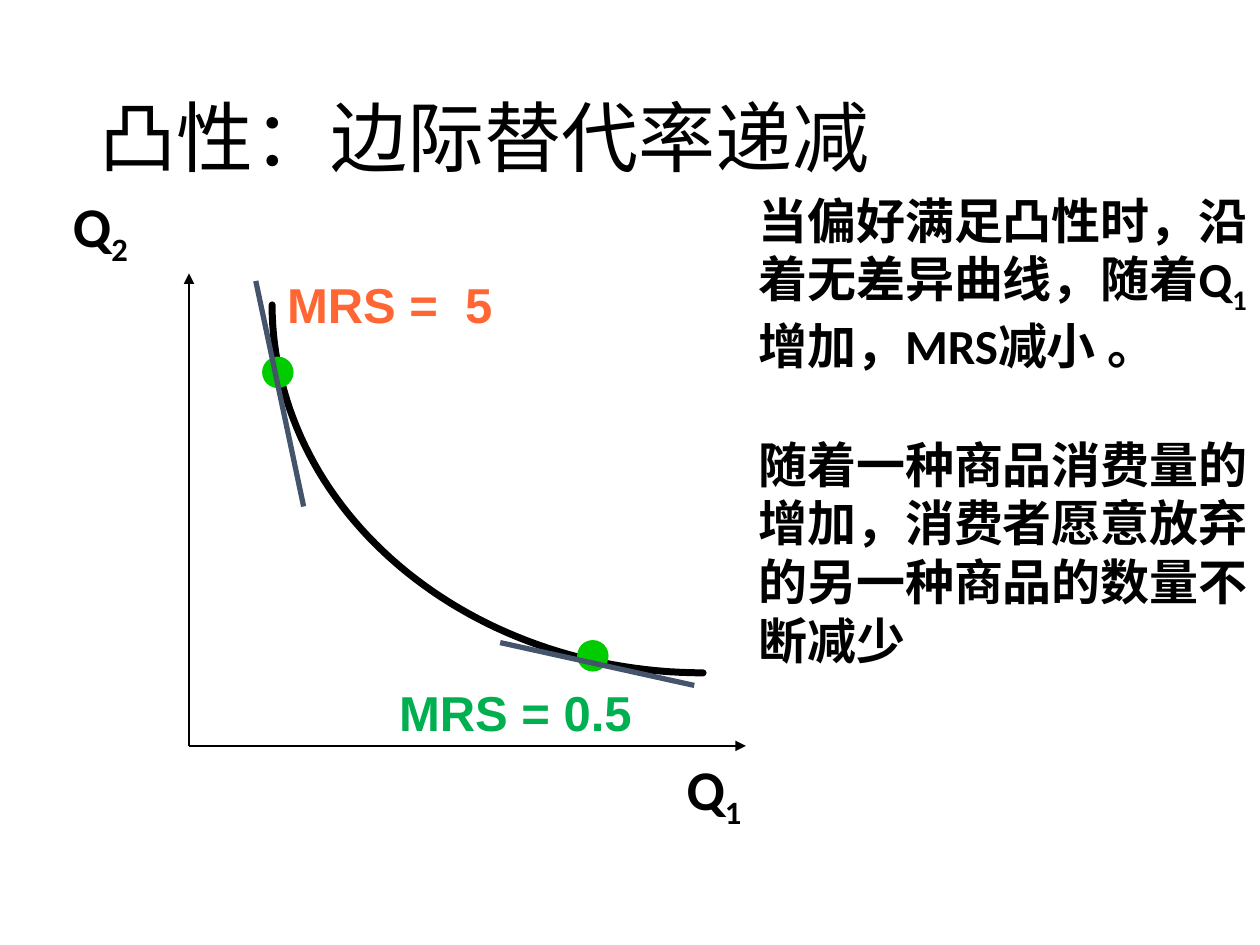
from dataclasses import dataclass
from math import cos, pi, sin

from lxml import etree
from pptx import Presentation
from pptx.dml.color import RGBColor
from pptx.enum.shapes import MSO_CONNECTOR, MSO_SHAPE
from pptx.enum.text import MSO_ANCHOR
from pptx.oxml.ns import qn
from pptx.util import Inches, Pt

STRAIGHT = MSO_CONNECTOR.STRAIGHT
OVAL = MSO_SHAPE.OVAL
MIDDLE = MSO_ANCHOR.MIDDLE


@dataclass(frozen=True)
class Theme:
    ink: RGBColor = RGBColor(0, 0, 0)
    tangent: RGBColor = RGBColor(0x44, 0x54, 0x6A)
    point: RGBColor = RGBColor(0, 0xCC, 0)
    steep: RGBColor = RGBColor(0xFF, 0x66, 0x33)
    flat: RGBColor = RGBColor(0, 0xB0, 0x50)
    title: Pt = Pt(44)
    axis: Pt = Pt(32)
    body: Pt = Pt(28)
    text_font: str = "Calibri"
    label_font: str = "Arial"


theme = Theme()


def add_text(page, place, paragraphs, wrap=True, **font):
    """Each paragraph is a list of (text, is_subscript) spans."""
    box = page.shapes.add_textbox(*map(Inches, place))
    frame = box.text_frame
    frame.word_wrap = wrap
    for index, spans in enumerate(paragraphs):
        para = frame.add_paragraph() if index else frame.paragraphs[0]
        for text, is_subscript in spans:
            span = para.add_run()
            span.text = text
            span.font.color.rgb = font["color"]
            for name in ("size", "name", "bold"):
                setattr(span.font, name, font[name])
            if is_subscript:
                span.font._element.set("baseline", "-25000")
    return frame


def add_line(page, start, end, color, width, arrow=False):
    line = page.shapes.add_connector(STRAIGHT, *map(Inches, start + end))
    line.line.color.rgb = color
    line.line.width = Pt(width)
    if arrow:
        etree.SubElement(line.line._get_or_add_ln(), qn("a:tailEnd"), type="triangle")
    etree.SubElement(line._element.spPr, qn("a:effectLst"))


deck = Presentation()
deck.slide_width, deck.slide_height = Inches(10), Inches(7.5)
page = deck.slides.add_slide(deck.slide_layouts[6])

# Title
title = add_text(page, (0.69, 0.4, 8.62, 1.45), [[("凸性：边际替代率递减", False)]],
                 size=theme.title, name=theme.text_font, bold=False, color=theme.ink)
title.vertical_anchor = MIDDLE
title.paragraphs[0].line_spacing = 0.9

# Axes
origin = (1.5, 5.92)
for tip in ((1.5, 2.17), (5.92, 5.92)):
    add_line(page, origin, tip, theme.ink, 1, arrow=True)

# Indifference curve: a quarter of an ellipse
center_x, center_y, radius_x, radius_y = 5.58, 2.42, 3.42, 2.92
steps = 60
angles = [pi / 2 * step / steps for step in range(steps + 1)]
points = [(Inches(center_x - radius_x * cos(angle)),
           Inches(center_y + radius_y * sin(angle))) for angle in angles]
builder = page.shapes.build_freeform(*points[0])
builder.add_line_segments(points[1:], close=False)
curve = builder.convert_to_shape()
curve.shadow.inherit = False
curve.fill.background()
curve.line.color.rgb = theme.ink
curve.line.width = Pt(4)
curve.line._get_or_add_ln().set("cap", "rnd")

# Axis names
for place, number in (((0.48, 1.47, 0.72, 0.64), "2"), ((5.35, 5.94, 0.72, 0.64), "1")):
    add_text(page, place, [[("Q", False), (number, True)]], wrap=False,
             size=theme.axis, name=theme.text_font, bold=True, color=theme.ink)

# Points on the curve
for left, top in ((4.58, 5.08), (2.08, 2.83)):
    dot = page.shapes.add_shape(OVAL, *map(Inches, (left, top, 0.25, 0.25)))
    dot.shadow.inherit = False
    dot.fill.solid()
    dot.fill.fore_color.rgb = theme.point
    dot.line.fill.background()

# Tangents
for start, end in (((2.03, 2.23), (2.41, 4.02)), ((3.97, 5.1), (5.51, 5.44))):
    add_line(page, start, end, theme.tangent, 3)

# Slope labels
for place, text, color in (((2.18, 2.13, 1.85, 0.57), "MRS =  5", theme.steep),
                           ((3.07, 5.37, 2.07, 0.57), "MRS = 0.5", theme.flat)):
    add_text(page, place, [[(text, False)]], wrap=False,
             size=theme.body, name=theme.label_font, bold=True, color=color)

# Explanation
explanation = add_text(
    page, (5.92, 1.46, 4.11, 3.87),
    [[("当偏好满足凸性时，沿着无差异曲线，随着Q", False), ("1 ", True),
      ("增加，MRS减小 。", False)],
     [("随着一种商品消费量的增加，消费者愿意放弃的另一种商品的数量不断减少", False)]],
    size=theme.body, name=theme.text_font, bold=True, color=theme.ink)
explanation.paragraphs[1].space_before = Pt(34)

deck.save("out.pptx")
